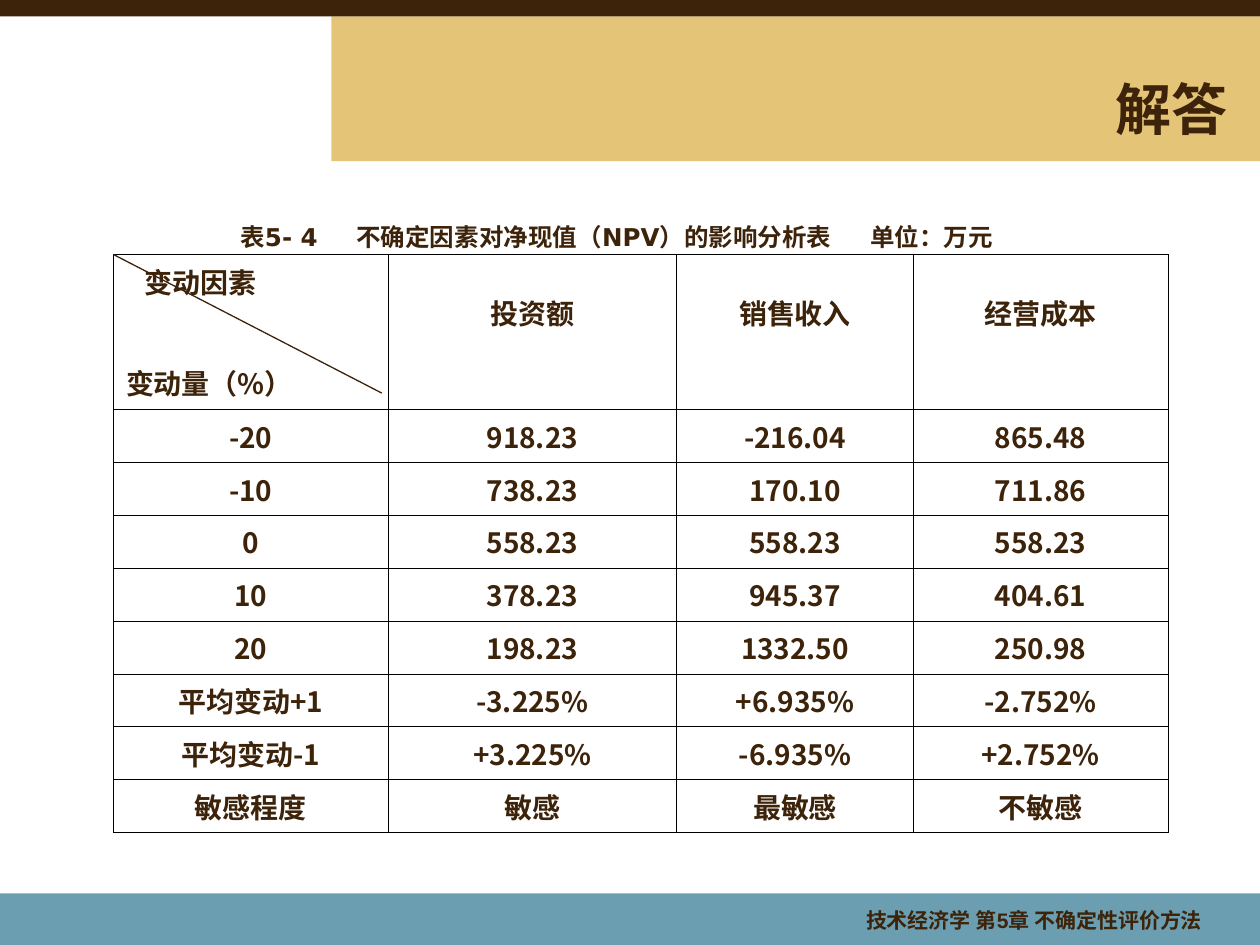
from lxml.etree import SubElement
from pptx import Presentation
from pptx.dml.color import RGBColor
from pptx.enum.shapes import MSO_CONNECTOR, MSO_SHAPE
from pptx.enum.text import MSO_ANCHOR, PP_ALIGN
from pptx.oxml.ns import qn
from pptx.util import Inches, Pt

BROWN = RGBColor(0x3C, 0x23, 0x0A)
SAND = RGBColor(0xE4, 0xC5, 0x78)
TEAL = RGBColor(0x6A, 0x9E, 0xB0)
BLACK = RGBColor(0x00, 0x00, 0x00)
CHINESE_FONT = "Noto Sans CJK SC"

TABLE_LEFT, TABLE_TOP = 0.9, 2.02
COLUMN_WIDTHS = [2.18, 2.29, 1.88, 2.02]
HEADER_HEIGHT, ROW_HEIGHT = 1.23, 0.42
ROWS = [
    ["变动因素\n变动量（%）", "投资额", "销售收入", "经营成本"],
    ["-20", "918.23", "-216.04", "865.48"],
    ["-10", "738.23", "170.10", "711.86"],
    ["0", "558.23", "558.23", "558.23"],
    ["10", "378.23", "945.37", "404.61"],
    ["20", "198.23", "1332.50", "250.98"],
    ["平均变动+1", "-3.225%", "+6.935%", "-2.752%"],
    ["平均变动-1", "+3.225%", "-6.935%", "+2.752%"],
    ["敏感程度", "敏感", "最敏感", "不敏感"],
]


class SlideBuilder:
    def __init__(self, slide):
        self.slide = slide
        self.color = BROWN

    def format_text(self, text_frame, size, font_name, alignment):
        for paragraph in text_frame.paragraphs:
            paragraph.alignment = alignment
            for run in paragraph.runs:
                run.font.size = Pt(size)
                run.font.name = font_name
                run.font.bold = True
                run.font.color.rgb = self.color
                east_asian = SubElement(run.font._element, qn("a:ea"))
                east_asian.set("typeface", CHINESE_FONT)

    def bar(self, left, top, width, height, color):
        shape = self.slide.shapes.add_shape(
            MSO_SHAPE.RECTANGLE, Inches(left), Inches(top), Inches(width), Inches(height))
        shape.shadow.inherit = False
        shape.fill.solid()
        shape.fill.fore_color.rgb = color
        shape.line.fill.background()

    def text(self, text, left, top, width, height, size, font_name="Arial",
             alignment=PP_ALIGN.RIGHT):
        box = self.slide.shapes.add_textbox(
            Inches(left), Inches(top), Inches(width), Inches(height))
        text_frame = box.text_frame
        text_frame.word_wrap = True
        text_frame.vertical_anchor = MSO_ANCHOR.MIDDLE
        text_frame.text = text
        self.format_text(text_frame, size, font_name, alignment)
        return text_frame.paragraphs[0]

    def tab_stops(self, paragraph, positions):
        tab_list = SubElement(paragraph._p.get_or_add_pPr(), qn("a:tabLst"))
        for position in positions:
            SubElement(tab_list, qn("a:tab"), pos=str(Inches(position)), algn="l")

    def cell_borders(self, cell):
        properties = cell._tc.get_or_add_tcPr()
        for side in ("lnL", "lnR", "lnT", "lnB"):
            border = SubElement(properties, qn(f"a:{side}"), w=str(Pt(0.45)))
            fill = SubElement(border, qn("a:solidFill"))
            SubElement(fill, qn("a:srgbClr"), val=str(BLACK))

    def table(self, rows, left, top, column_widths, row_heights):
        table = self.slide.shapes.add_table(
            len(rows), len(column_widths), Inches(left), Inches(top),
            Inches(sum(column_widths)), Inches(sum(row_heights))).table
        table.first_row = False
        table.horz_banding = False
        for column, width in zip(table.columns, column_widths):
            column.width = Inches(width)
        for row, height, values in zip(table.rows, row_heights, rows):
            row.height = Inches(height)
            for cell, value in zip(row.cells, values):
                cell.text_frame.text = value
                self.format_text(cell.text_frame, 16, CHINESE_FONT, PP_ALIGN.CENTER)
                self.cell_borders(cell)
                cell.fill.background()
        return table

    def line(self, start_x, start_y, end_x, end_y):
        connector = self.slide.shapes.add_connector(
            MSO_CONNECTOR.STRAIGHT, Inches(start_x), Inches(start_y),
            Inches(end_x), Inches(end_y))
        connector.line.color.rgb = self.color
        connector.line.width = Pt(0.75)
        SubElement(connector._element.spPr, qn("a:effectLst"))


def main():
    presentation = Presentation()
    presentation.slide_width = Inches(10)
    presentation.slide_height = Inches(7.5)
    builder = SlideBuilder(presentation.slides.add_slide(presentation.slide_layouts[6]))

    builder.bar(2.63, 0.13, 7.37, 1.15, SAND)
    builder.bar(0, 7.09, 10, 0.41, TEAL)
    builder.bar(0, 0, 10, 0.13, BROWN)
    builder.text("解答", 2.92, 0.55, 6.92, 0.62, 32)

    caption = builder.text("表5- 4\t不确定因素对净现值（NPV）的影响分析表\t单位：万元",
                           1.81, 1.7, 6.5, 0.35, 14, "DejaVu Sans", PP_ALIGN.LEFT)
    builder.tab_stops(caption, [0.92, 5])

    row_heights = [HEADER_HEIGHT] + [ROW_HEIGHT] * (len(ROWS) - 1)
    table = builder.table(ROWS, TABLE_LEFT, TABLE_TOP, COLUMN_WIDTHS, row_heights)
    corner, *headings = table.rows[0].cells
    for heading in headings:
        heading.margin_top = Inches(0.3)
    factor, change = corner.text_frame.paragraphs
    factor.alignment = change.alignment = PP_ALIGN.LEFT
    factor._p.get_or_add_pPr().set("marL", str(Inches(0.15)))
    change.space_before = Pt(35)
    builder.line(TABLE_LEFT, TABLE_TOP, 3.03, 3.12)

    builder.text("技术经济学 第5章 不确定性评价方法", 6.18, 7.14, 3.46, 0.33, 12)
    presentation.save("out.pptx")


if __name__ == "__main__":
    main()
